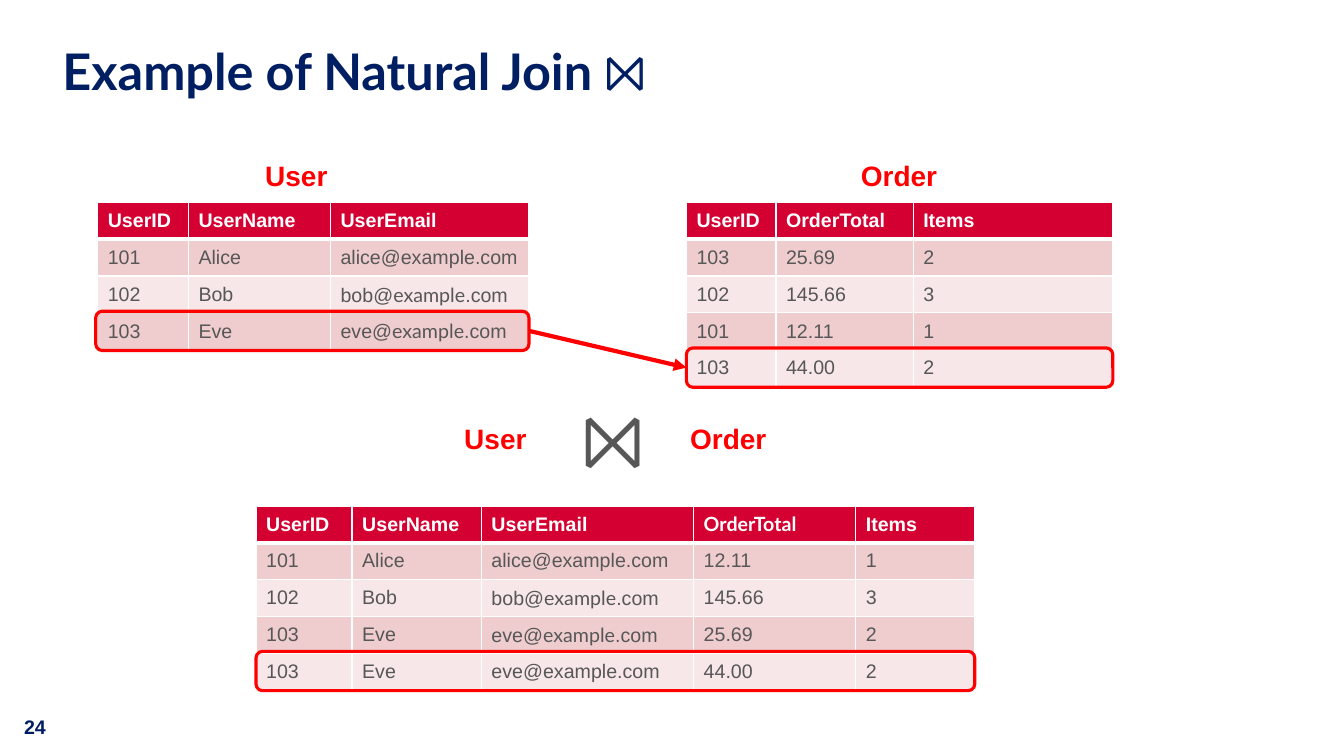
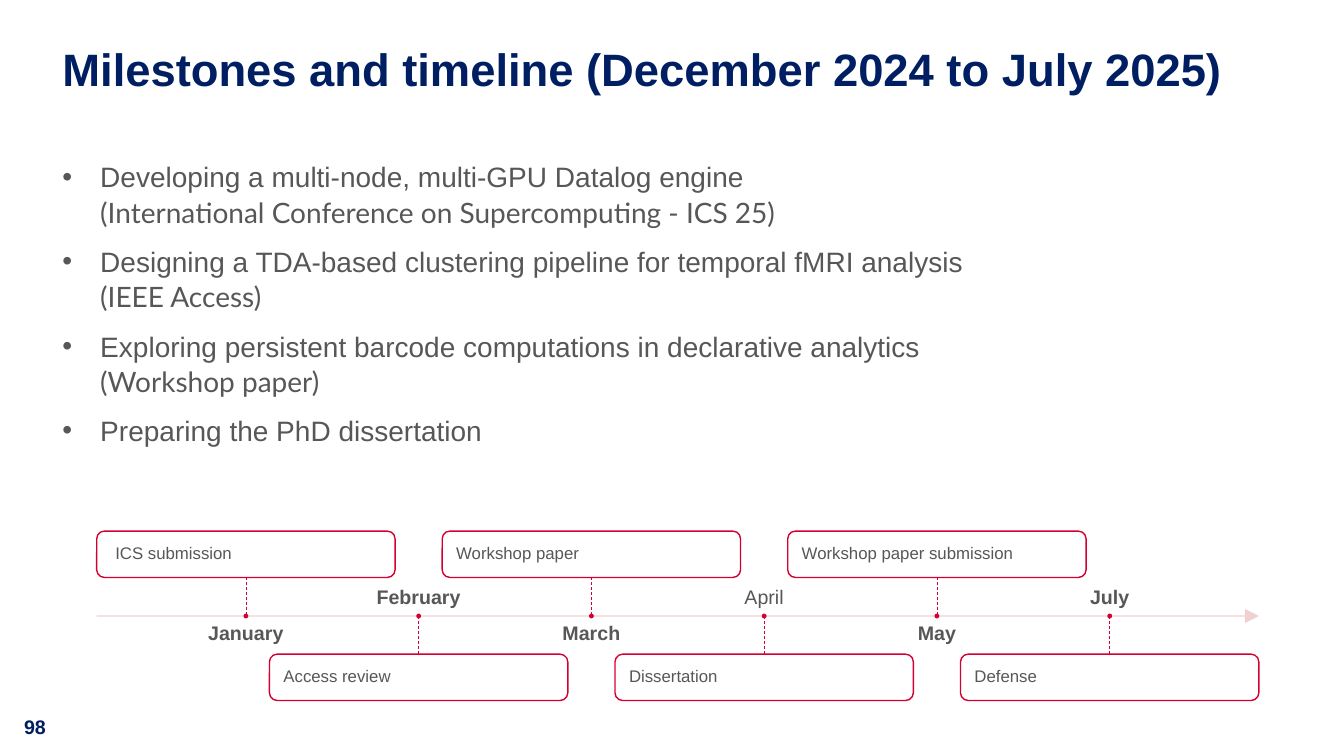
from dataclasses import dataclass

from lxml.etree import SubElement
from pptx import Presentation
from pptx.dml.color import RGBColor
from pptx.enum.dml import MSO_LINE
from pptx.enum.shapes import MSO_CONNECTOR, MSO_SHAPE
from pptx.enum.text import MSO_ANCHOR, PP_ALIGN
from pptx.oxml.ns import qn
from pptx.shapes.autoshape import Shape
from pptx.shapes.connector import Connector
from pptx.slide import Slide
from pptx.util import Pt


@dataclass(frozen=True)
class Theme:
    navy: str = "001E62"
    brand: str = "D40032"
    red: str = "FF0000"
    grey: str = "575757"
    white: str = "FFFFFF"
    rose: str = "EFCCCE"
    blush: str = "F7E7E8"
    faces: tuple[str, str] = ("Arial", "Lato")
    title: float = 36
    body: float = 20
    small: float = 14
    note: float = 12
    sign: float = 54


@dataclass(frozen=True)
class Look:
    size: float
    color: str
    bold: bool = False


@dataclass(frozen=True)
class Box:
    left: float
    top: float
    width: float
    height: float

    def points(self) -> tuple[Pt, Pt, Pt, Pt]:
        return Pt(self.left), Pt(self.top), Pt(self.width), Pt(self.height)


@dataclass(frozen=True)
class Grid:
    left: float
    top: float
    cols: list[float]
    rows: list[list[str]]


@dataclass(frozen=True)
class Label:
    text: str
    box: Box


@dataclass(frozen=True)
class Stage:
    month: str
    task: str
    bold: bool = True
    inset: float = 8.4


THEME = Theme()
HEAD = Look(THEME.small, THEME.white, True)
CELL = Look(THEME.small, THEME.grey)
TAG = Look(THEME.body, THEME.red, True)
ROW = 26.26

# Cells: text between bars is set in the second face
BOB, EVE = "bob@|example|.com", "eve@|example|.com"
USERS = Grid(69.8, 144.7, [64.8, 101.5, 141.8], [
    ["UserID", "UserName", "UserEmail"],
    ["101", "Alice", "alice@example.com"],
    ["102", "Bob", BOB],
    ["103", "Eve", EVE],
])
ORDERS = Grid(490.3, 144.7, [64, 98, 142.6], [
    ["UserID", "OrderTotal", "Items"],
    ["103", "25.69", "2"],
    ["102", "145.66", "3"],
    ["101", "12.11", "1"],
    ["103", "44.00", "2"],
])
JOINED = Grid(182.9, 361.4, [68.6, 92.4, 151.6, 115.8, 85], [
    ["UserID", "UserName", "UserEmail", "|OrderTotal", "Items"],
    ["101", "Alice", "alice@example.com", "12.11", "1"],
    ["102", "Bob", BOB, "145.66", "3"],
    ["103", "Eve", EVE, "25.69", "2"],
    ["103", "Eve", "eve@example.com", "44.00", "2"],
])
LABELS = [
    Label("User", Box(56.9, 109.4, 309.6, 31.7)),
    Label("Order", Box(487.4, 109.4, 309.6, 31.7)),
    Label("User", Box(298.8, 297.4, 110.2, 31.7)),
    Label("Order", Box(464.4, 297.4, 111.6, 31.7)),
]
GOALS = [
    "Developing a multi-node, multi-GPU Datalog engine\n"
    "(International Conference on Supercomputing - ICS 25)",
    "Designing a TDA-based clustering pipeline for temporal fMRI analysis\n"
    "(IEEE Access)",
    "Exploring persistent barcode computations in declarative analytics\n"
    "(Workshop paper)",
    "Preparing the PhD dissertation",
]
STAGES = [
    Stage("January", "ICS submission", inset=11.7),
    Stage("February", "Access review"),
    Stage("March", "Workshop paper"),
    Stage("April", "Dissertation", bold=False),
    Stage("May", "Workshop paper submission"),
    Stage("July", "Defense"),
]


def rgb(color: str) -> RGBColor:
    return RGBColor.from_string(color)


# Text
def write(para, text: str, look: Look) -> None:
    first, *rest = text.split("|")
    para.text = first
    for part in rest:
        para.add_run().text = part
    start = 0 if first else 1
    for k, run in enumerate(para.runs, start):
        run.font.name = THEME.faces[k % 2]
        run.font.size = Pt(look.size)
        run.font.bold = look.bold
        run.font.color.rgb = rgb(look.color)


def pad(frame, side: float, edge: float) -> None:
    frame.margin_left = frame.margin_right = Pt(side)
    frame.margin_top = frame.margin_bottom = Pt(edge)


def add_text(slide: Slide, box: Box, text: str, look: Look,
             align: PP_ALIGN = PP_ALIGN.LEFT, tight: bool = False,
             anchor: MSO_ANCHOR = MSO_ANCHOR.TOP) -> None:
    frame = slide.shapes.add_textbox(*box.points()).text_frame
    frame.word_wrap = True
    frame.vertical_anchor = anchor
    para = frame.paragraphs[0]
    write(para, text, look)
    para.alignment = align
    if tight:
        pad(frame, 0, 0)
        para.line_spacing = 0.9


# Shapes and lines
def add_form(slide: Slide, kind: MSO_SHAPE, box: Box, line: str,
             weight: float, fill: str = "") -> Shape:
    form = slide.shapes.add_shape(kind, *box.points())
    form.shadow.inherit = False
    form.line.color.rgb = rgb(line)
    form.line.width = Pt(weight)
    if fill:
        form.fill.solid()
        form.fill.fore_color.rgb = rgb(fill)
    else:
        form.fill.background()
    return form


def add_line(slide: Slide, start: tuple[float, float],
             end: tuple[float, float], color: str, weight: float,
             head: str = "", dash: bool = False) -> Connector:
    line = slide.shapes.add_connector(
        MSO_CONNECTOR.STRAIGHT, *map(Pt, start + end))
    line.line.color.rgb = rgb(color)
    line.line.width = Pt(weight)
    if dash:
        line.line.dash_style = MSO_LINE.DASH
    props = line._element.spPr
    if head:
        SubElement(props.find(qn("a:ln")), qn("a:tailEnd"),
                   type="triangle", w=head, len=head)
    SubElement(props, qn("a:effectLst"))
    return line


def fade(host) -> None:
    color = host.find(qn("a:solidFill"))[0]
    SubElement(color, qn("a:alpha"), val="90000")


# Tables
def add_edge(cell, side: str, weight: float) -> None:
    props = cell._tc.get_or_add_tcPr()
    edge = SubElement(props, qn(f"a:ln{side}"), w=str(int(Pt(weight))))
    fill = SubElement(edge, qn("a:solidFill"))
    SubElement(fill, qn("a:srgbClr"), val=THEME.white)


def add_grid(slide: Slide, grid: Grid) -> None:
    count = len(grid.rows)
    box = Box(grid.left, grid.top, sum(grid.cols), ROW * count)
    table = slide.shapes.add_table(
        count, len(grid.cols), *box.points()).table
    table.first_row = table.horz_banding = False
    for col, width in zip(table.columns, grid.cols):
        col.width = Pt(width)
    for r, texts in enumerate(grid.rows):
        table.rows[r].height = Pt(ROW)
        tint = THEME.rose if r % 2 else THEME.blush
        for c, text in enumerate(texts):
            cell = table.cell(r, c)
            write(cell.text_frame.paragraphs[0], text, CELL if r else HEAD)
            cell.vertical_anchor = MSO_ANCHOR.MIDDLE
            for side in "LRTB":
                thick = (r, side) in ((0, "B"), (1, "T"))
                add_edge(cell, side, 3 if thick else 1)
            cell.fill.solid()
            cell.fill.fore_color.rgb = rgb(tint if r else THEME.brand)


def add_ring(slide: Slide, grid: Grid, extra: float = 0) -> Shape:
    """Outline the last row of a table."""
    top = grid.top + ROW * (len(grid.rows) - 1) - 1.2
    box = Box(grid.left - extra, top, sum(grid.cols) + extra, 28.1)
    return add_form(slide, MSO_SHAPE.ROUNDED_RECTANGLE, box, THEME.red, 2.25)


# Slides
def add_page(deck, title: str, number: int,
             size: float = THEME.title) -> Slide:
    slide = deck.slides.add_slide(deck.slide_layouts[6])
    add_text(slide, Box(10.1, 506.9, 47.5, 24.5), str(number),
             Look(THEME.small, THEME.navy, True))
    add_text(slide, Box(44.6, 33.8, 869.8, 64), title,
             Look(size, THEME.navy, True), tight=True)
    return slide


def add_join(deck) -> None:
    slide = add_page(deck, "|Example of Natural Join ⨝", 24)
    for label in LABELS:
        add_text(slide, label.box, label.text, TAG, PP_ALIGN.CENTER)
    add_text(slide, Box(409, 276.5, 48.2, 72.7), "⨝",
             Look(THEME.sign, THEME.grey), PP_ALIGN.CENTER)
    for grid in (USERS, ORDERS, JOINED):
        add_grid(slide, grid)
    left = add_ring(slide, USERS, 1.4)
    right = add_ring(slide, ORDERS)
    add_ring(slide, JOINED)
    arrow = add_line(slide, (378, 236), (490, 263), THEME.red, 3, "med")
    arrow.begin_connect(left, 3)
    arrow.end_connect(right, 1)


def add_goals(slide: Slide) -> None:
    frame = slide.shapes.add_textbox(
        *Box(44.6, 113, 869.8, 240).points()).text_frame
    frame.word_wrap = True
    pad(frame, 0, 0)
    for k, goal in enumerate(GOALS):
        para = frame.add_paragraph() if k else frame.paragraphs[0]
        props = para._p.get_or_add_pPr()
        props.set("marL", str(int(Pt(27))))
        props.set("indent", str(int(Pt(-27))))
        SubElement(props, qn("a:buFont"), typeface=THEME.faces[0])
        SubElement(props, qn("a:buChar"), char="•")
        write(para, goal, Look(THEME.body, THEME.grey))
        para.line_spacing = 1.05
        if k:
            para.space_before = Pt(10)


def add_stage(slide: Slide, stage: Stage, k: int, axis: float) -> None:
    below = k % 2 == 1
    box = Box(69.1 + 123.4 * k, 467.3 if below else 379.4, 213.1, 33.1)
    mid = box.left + box.width / 2
    card = add_form(slide, MSO_SHAPE.ROUNDED_RECTANGLE, box,
                    THEME.brand, 1, THEME.white)
    fade(card._element.spPr)
    frame = card.text_frame
    frame.word_wrap = True
    frame.vertical_anchor = MSO_ANCHOR.MIDDLE
    pad(frame, stage.inset, 0)
    para = frame.paragraphs[0]
    write(para, stage.task, Look(THEME.note, THEME.grey))
    para.alignment = PP_ALIGN.LEFT
    para.line_spacing = 0.9
    edge = box.top if below else box.top + box.height
    stem = add_line(slide, (mid, edge), (mid, axis), THEME.brand, 0.5,
                    dash=True)
    stem.begin_connect(card, 0 if below else 2)
    add_form(slide, MSO_SHAPE.OVAL, Box(mid - 1.2, axis - 1.2, 2.4, 2.4),
             THEME.brand, 1, THEME.brand)
    add_text(slide, Box(mid - 93.6, 418.3 if below else 445.7, 187.2, 16.6),
             stage.month, Look(THEME.small, THEME.grey, stage.bold),
             PP_ALIGN.CENTER, True,
             MSO_ANCHOR.BOTTOM if below else MSO_ANCHOR.TOP)


def add_plan(deck) -> None:
    slide = add_page(
        deck, "Milestones and timeline (December 2024 to July 2025)", 98, 32.4)
    add_goals(slide)
    axis = 440
    line = add_line(slide, (69.1, axis), (899.2, axis), THEME.rose, 1, "lg")
    fade(line._element.spPr.find(qn("a:ln")))
    for k, stage in enumerate(STAGES):
        add_stage(slide, stage, k, axis)


def main() -> None:
    deck = Presentation()
    deck.slide_width, deck.slide_height = Pt(960), Pt(540)
    add_join(deck)
    add_plan(deck)
    deck.save("out.pptx")


if __name__ == "__main__":
    main()
